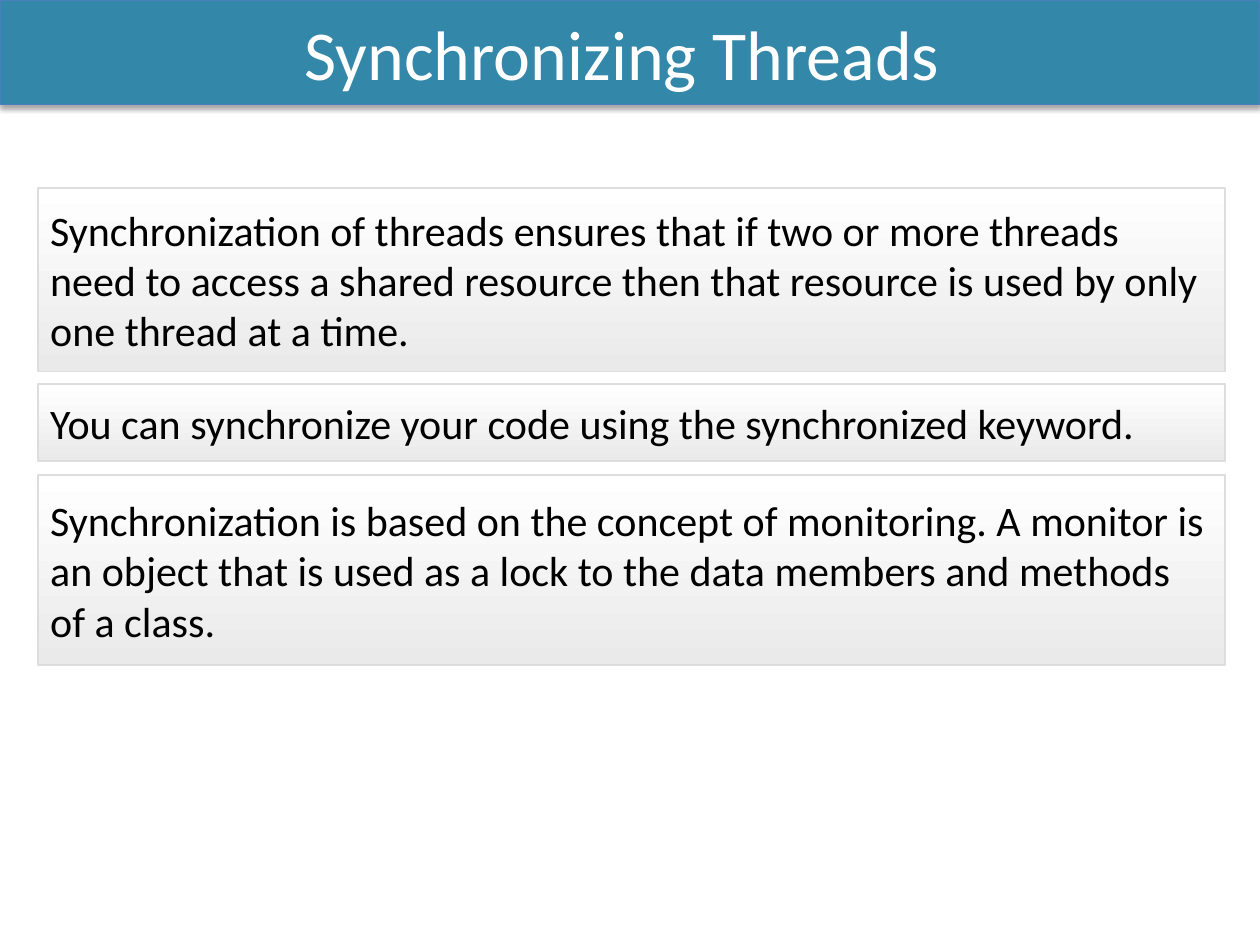
import pptx
import pptx.dml.color
import pptx.enum.shapes
import pptx.enum.text
import pptx.oxml
import pptx.oxml.ns
import pptx.util

Inches = pptx.util.Inches
Pt = pptx.util.Pt
RGBColor = pptx.dml.color.RGBColor
Align = pptx.enum.text.PP_ALIGN

# Content
TITLE = "Synchronizing Threads "
# (top, height, text) of each panel
PANELS = [
    (1.49, 1.46, "Synchronization of threads ensures that if two or more threads need to "
                 "access a shared resource then that resource is used by only one thread at a time."),
    (3.05, 0.61, "You can synchronize your code using the synchronized keyword."),
    (3.77, 1.51, "Synchronization is based on the concept of monitoring. A monitor is an object "
                 "that is used as a lock to the data members and methods of a class."),
]
PANEL_LEFT, PANEL_WIDTH = 0.3, 9.42

FONT = "Calibri"
TEAL = RGBColor(0x33, 0x88, 0xA9)
BLUE = RGBColor(0x4B, 0x7E, 0xBC)
WHITE = RGBColor(0xFF, 0xFF, 0xFF)
BLACK = RGBColor(0x00, 0x00, 0x00)
PALE_GRAY = RGBColor(0xEA, 0xEA, 0xEA)
LINE_GRAY = RGBColor(0xDD, 0xDD, 0xDD)


def add_box(page, left, top, width, height, line_color, line_width):
    box = page.shapes.add_shape(pptx.enum.shapes.MSO_SHAPE.RECTANGLE,
                                Inches(left), Inches(top), Inches(width), Inches(height))
    box.shadow.inherit = False
    box.line.color.rgb = line_color
    box.line.width = Pt(line_width)
    return box


def write_text(box, text, size, color, align):
    frame = box.text_frame
    frame.word_wrap = True
    frame.vertical_anchor = pptx.enum.text.MSO_ANCHOR.MIDDLE
    para = frame.paragraphs[0]
    para.alignment = align
    span = para.add_run()
    span.text = text
    span.font.name = FONT
    span.font.size = Pt(size)
    span.font.color.rgb = color


def add_drop_shadow(box, blur, distance, opacity):
    effects = box.element.spPr.find(pptx.oxml.ns.qn("a:effectLst"))
    effects.append(pptx.oxml.parse_xml(
        f'<a:outerShdw {pptx.oxml.ns.nsdecls("a")} blurRad="{Pt(blur)}" dist="{Pt(distance)}" '
        f'dir="5400000" rotWithShape="0"><a:srgbClr val="000000">'
        f'<a:alpha val="{opacity * 1000}"/></a:srgbClr></a:outerShdw>'))


deck = pptx.Presentation()
deck.slide_width, deck.slide_height = Inches(10), Inches(7.5)
page = deck.slides.add_slide(deck.slide_layouts[6])

# Title bar
bar = add_box(page, 0, 0, 10, 0.83, BLUE, 0.75)
bar.fill.solid()
bar.fill.fore_color.rgb = TEAL
add_drop_shadow(bar, 3.1, 1.8, 35)
write_text(bar, TITLE, 40, WHITE, Align.CENTER)

# Text panels, shaded from white at the top to gray at the bottom
for top, height, text in PANELS:
    panel = add_box(page, PANEL_LEFT, top, PANEL_WIDTH, height, LINE_GRAY, 1)
    panel.fill.gradient()
    panel.fill.gradient_angle = 270
    for stop, color in zip(panel.fill.gradient_stops, (WHITE, PALE_GRAY)):
        stop.color.rgb = color
    write_text(panel, text, 24, BLACK, Align.LEFT)

deck.save("out.pptx")
